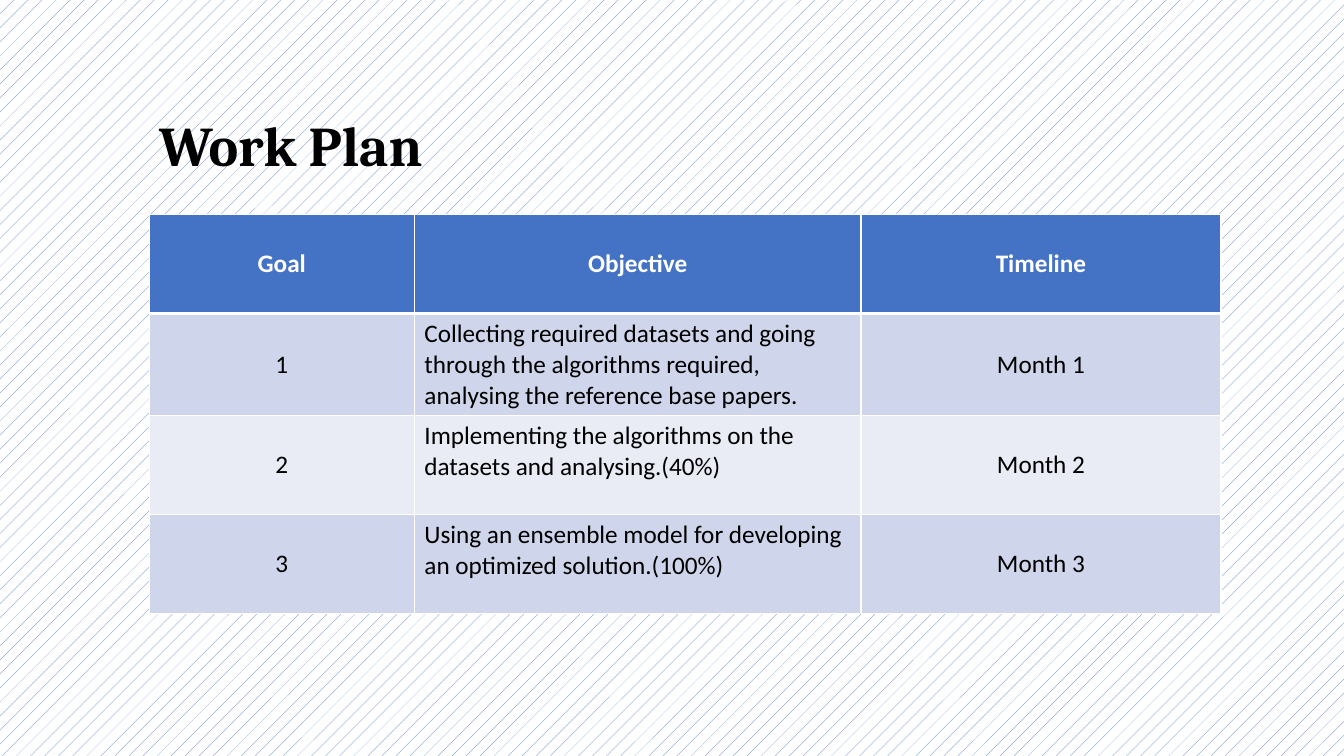
import dataclasses

import lxml.etree
import pptx
import pptx.dml.color
import pptx.enum.dml
import pptx.enum.text
import pptx.oxml.ns
import pptx.slide
import pptx.table
import pptx.text.text
import pptx.util

Inches = pptx.util.Inches
Align = pptx.enum.text.PP_ALIGN
Anchor = pptx.enum.text.MSO_ANCHOR


@dataclasses.dataclass(frozen=True)
class Theme:
    accent: str = "4472C4"
    odd_band: str = "CFD5EA"
    even_band: str = "E9EBF5"
    white: str = "FFFFFF"
    black: str = "000000"
    title_font: str = "Cambria"
    body_font: str = "Calibri"
    title_size: int = 40
    body_size: int = 18
    border: int = 1
    header_border: int = 3


@dataclasses.dataclass(frozen=True)
class Goal:
    number: str
    objective: str
    timeline: str


THEME = Theme()
HEADER = Goal("Goal", "Objective", "Timeline")
GOALS = [
    Goal("1", "Collecting required datasets and going through the algorithms required, "
              "analysing the reference base papers.", "Month 1"),
    Goal("2", "Implementing the algorithms on the datasets and analysing.(40%)", "Month 2"),
    Goal("3", "Using an ensemble model for developing an optimized solution.(100%)", "Month 3"),
]
LEFT = Inches(1.48)
COLUMN_WIDTHS = (2.63, 4.43, 3.57)
ROW_HEIGHT = 0.98


def rgb(color: str) -> pptx.dml.color.RGBColor:
    return pptx.dml.color.RGBColor.from_string(color)


def style_paragraph(para: pptx.text.text._Paragraph, font: str, size: int,
                    color: str, bold: bool) -> None:
    for span in para.runs:
        span.font.name = font
        span.font.size = pptx.util.Pt(size)
        span.font.color.rgb = rgb(color)
        span.font.bold = bold


def paint_background(page: pptx.slide.Slide) -> None:
    fill = page.background.fill
    fill.patterned()
    fill.pattern = pptx.enum.dml.MSO_PATTERN.PERCENT_5
    fill.fore_color.rgb = rgb(THEME.accent)
    fill.back_color.rgb = rgb(THEME.white)


def add_borders(cell: pptx.table._Cell, row: int) -> None:
    """Draw white cell edges, thicker between the header and the first goal."""
    qn = pptx.oxml.ns.qn
    properties = cell._tc.get_or_add_tcPr()
    for edge in ("L", "R", "T", "B"):
        under_header = (row, edge) in ((0, "B"), (1, "T"))
        width = THEME.header_border if under_header else THEME.border
        line = lxml.etree.SubElement(properties, qn(f"a:ln{edge}"), w=str(pptx.util.Pt(width)))
        fill = lxml.etree.SubElement(line, qn("a:solidFill"))
        lxml.etree.SubElement(fill, qn("a:srgbClr"), val=THEME.white)


def fill_cell(cell: pptx.table._Cell, text: str, row: int, column: int) -> None:
    is_header = row == 0
    cell.text_frame.text = text
    para = cell.text_frame.paragraphs[0]
    if is_header or column != 1:
        para.alignment = Align.CENTER
        cell.vertical_anchor = Anchor.MIDDLE
    style_paragraph(para, THEME.body_font, THEME.body_size,
                    THEME.white if is_header else THEME.black, is_header)
    add_borders(cell, row)
    band = THEME.odd_band if row % 2 else THEME.even_band
    cell.fill.solid()
    cell.fill.fore_color.rgb = rgb(THEME.accent if is_header else band)


def add_plan_table(page: pptx.slide.Slide) -> None:
    rows = [HEADER, *GOALS]
    table = page.shapes.add_table(
        len(rows), len(COLUMN_WIDTHS), LEFT, Inches(2.13),
        Inches(sum(COLUMN_WIDTHS)), Inches(ROW_HEIGHT * len(rows))).table
    for column, width in zip(table.columns, COLUMN_WIDTHS):
        column.width = Inches(width)
    for row, goal in enumerate(rows):
        table.rows[row].height = Inches(ROW_HEIGHT)
        for column, text in enumerate(dataclasses.astuple(goal)):
            fill_cell(table.cell(row, column), text, row, column)


def add_title(page: pptx.slide.Slide) -> None:
    box = page.shapes.add_textbox(LEFT, Inches(1.05), Inches(3.93), Inches(0.77))
    frame = box.text_frame
    frame.word_wrap = True
    frame.auto_size = pptx.enum.text.MSO_AUTO_SIZE.SHAPE_TO_FIT_TEXT
    frame.text = "Work Plan"
    style_paragraph(frame.paragraphs[0], THEME.title_font, THEME.title_size, THEME.black, True)


def main() -> None:
    deck = pptx.Presentation()
    deck.slide_width = Inches(13.33)
    deck.slide_height = Inches(7.5)
    page = deck.slides.add_slide(deck.slide_layouts[6])
    paint_background(page)
    add_plan_table(page)
    add_title(page)
    deck.save("out.pptx")


if __name__ == "__main__":
    main()
